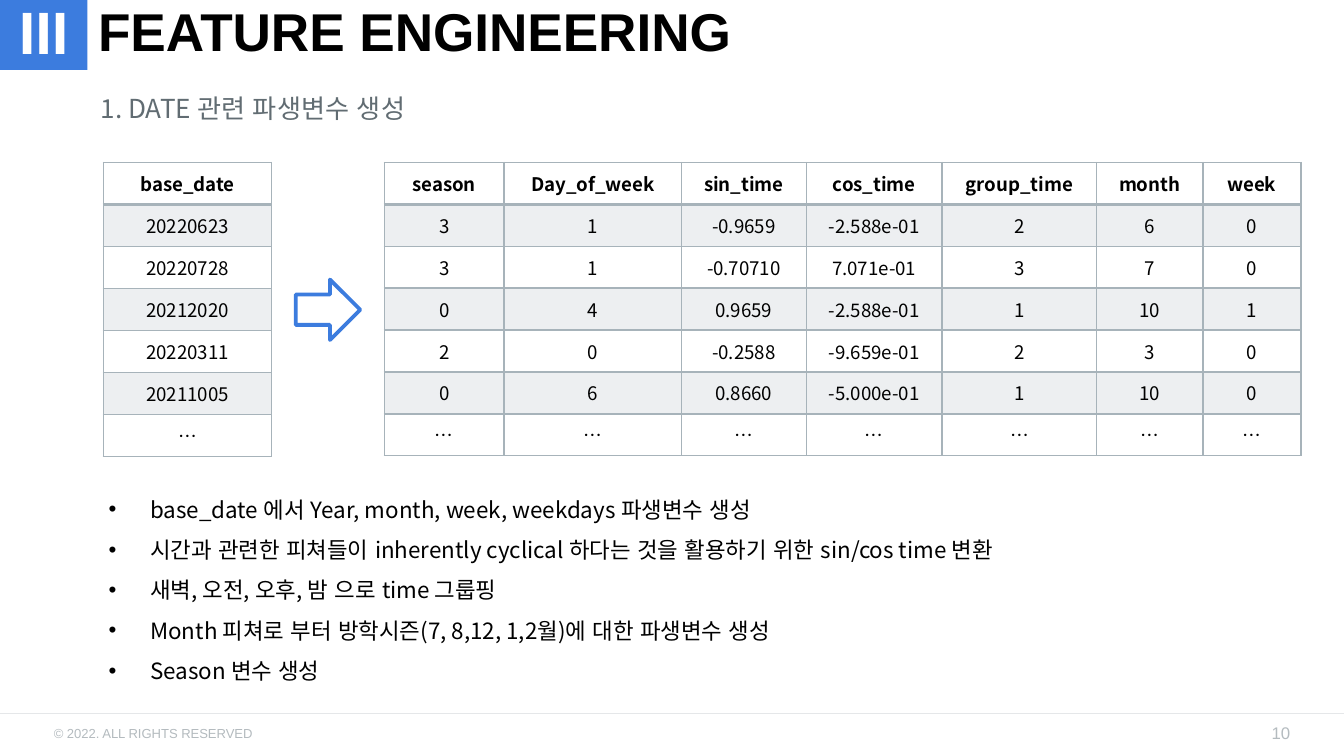
from lxml import etree
from pptx import Presentation
from pptx.dml.color import RGBColor
from pptx.enum import shapes, text
from pptx.oxml import parse_xml
from pptx.oxml.ns import nsdecls, qn
from pptx.util import Inches, Pt

BLACK = RGBColor(0x00, 0x00, 0x00)
WHITE = RGBColor(0xFF, 0xFF, 0xFF)
BLUE = RGBColor(0x3C, 0x7C, 0xDE)
SLATE = RGBColor(0x61, 0x6C, 0x72)
MUTED = RGBColor(0xB4, 0xBB, 0xBF)
RULE = RGBColor(0xE5, 0xE7, 0xE9)
GRID = RGBColor(0xA7, 0xB3, 0xBA)
KOREAN = "Noto Sans CJK KR"
CENTER = text.PP_ALIGN.CENTER


def add_run(p, words, size, color, font=KOREAN, bold=False):
    r = p.add_run()
    r.text = words
    r.font.size = Pt(size)
    r.font.bold = bold
    r.font.color.rgb = color
    r.font.name = font
    # Hangul spaces take the wider Arial advance
    ea = etree.SubElement(r._r.get_or_add_rPr(), qn("a:ea"))
    ea.set("typeface", "Arial")


def add_grid(left, top, height, widths, rows):
    """Add a table with a bold header, shaded odd rows and thin borders."""
    frame = s.shapes.add_table(len(rows), len(widths), Inches(left), Inches(top),
                               Inches(sum(widths)), Inches(height))
    table = frame.table
    table.horz_banding = False
    for column, width in zip(table.columns, widths):
        column.width = Inches(width)
    for i, values in enumerate(rows):
        table.rows[i].height = Inches(height / len(rows))
        for j, value in enumerate(values):
            cell = table.cell(i, j)
            cell.vertical_anchor = text.MSO_ANCHOR.MIDDLE
            p = cell.text_frame.paragraphs[0]
            p.alignment = CENTER
            add_run(p, value, 10, BLACK, bold=i == 0)
            tc_pr = cell._tc.get_or_add_tcPr()
            for side in ("L", "R", "T", "B"):
                heavy = i == 0 and side == "B"
                tc_pr.append(parse_xml(
                    f'<a:ln{side} {nsdecls("a")} w="{Pt(2 if heavy else 1)}"><a:solidFill>'
                    f'<a:srgbClr val="{GRID}"/></a:solidFill></a:ln{side}>'))
            if i % 2:
                cell.fill.solid()
                cell.fill.fore_color.rgb = GRID
                color = tc_pr.find(qn("a:solidFill")).find(qn("a:srgbClr"))
                etree.SubElement(color, qn("a:alpha")).set("val", "20000")
            else:
                cell.fill.background()


prs = Presentation()
prs.slide_width = Inches(10)
prs.slide_height = prs.slide_width * 9 // 16
s = prs.slides.add_slide(prs.slide_layouts[5])

# Footer rule
rule = s.shapes.add_connector(shapes.MSO_CONNECTOR.STRAIGHT, 0, Inches(5.31),
                              Inches(10), Inches(5.31))
rule.line.color.rgb = RULE
rule.line.width = Pt(0.75)
etree.SubElement(rule._element.spPr, qn("a:effectLst"))

# Title and section badge
title = s.shapes.title
title.left, title.top = Inches(0.65), Inches(0)
title.width, title.height = Inches(7.98), Inches(0.46)
badge = s.shapes.add_shape(shapes.MSO_SHAPE.RECTANGLE, 0, Inches(0),
                           Inches(0.65), Inches(0.52))
badge.shadow.inherit = False
badge.fill.solid()
badge.fill.fore_color.rgb = BLUE
badge.line.fill.background()
for sp, words, size, color, align, anchor in (
        (title, "FEATURE ENGINEERING", 28.5, BLACK, text.PP_ALIGN.LEFT, text.MSO_ANCHOR.TOP),
        (badge, "III", 32, WHITE, CENTER, text.MSO_ANCHOR.MIDDLE)):
    tf = sp.text_frame
    tf.auto_size = text.MSO_AUTO_SIZE.NONE
    tf.word_wrap = True
    tf.vertical_anchor = anchor
    tf.margin_left = tf.margin_right = Inches(0.08)
    tf.margin_top = tf.margin_bottom = Inches(0.04)
    p = tf.paragraphs[0]
    p.alignment = align
    p.line_spacing = 0.9
    add_run(p, words, size, color, "Arial", True)

# Footer
for box, words, size, align in (
        ((0.32, 5.36, 3.38, 0.2), "© 2022. ALL RIGHTS RESERVED", 7, text.PP_ALIGN.LEFT),
        ((7.43, 5.34, 2.25, 0.23), "10", 9, text.PP_ALIGN.RIGHT)):
    tf = s.shapes.add_textbox(*map(Inches, box)).text_frame
    tf.word_wrap = True
    tf.vertical_anchor = text.MSO_ANCHOR.MIDDLE
    tf.margin_left = tf.margin_right = Inches(0.08)
    tf.margin_top = tf.margin_bottom = Inches(0.04)
    p = tf.paragraphs[0]
    p.alignment = align
    add_run(p, words, size, MUTED, "Arial")

# Subtitle
tf = s.shapes.add_textbox(Inches(0.65), Inches(0.64), Inches(4.3), Inches(0.57)).text_frame
tf.word_wrap = True
add_run(tf.paragraphs[0], "1. DATE 관련 파생변수 생성", 14, SLATE)

# Source dates, arrow and derived variables
dates = ["base_date", "20220623", "20220728", "20212020", "20220311", "20211005", "…"]
add_grid(0.77, 1.21, 2.19, [1.25], [[date] for date in dates])

arrow = s.shapes.add_shape(shapes.MSO_SHAPE.RIGHT_ARROW, Inches(2.2), Inches(2.08),
                           Inches(0.48), Inches(0.45))
arrow.shadow.inherit = False
arrow.fill.solid()
arrow.fill.fore_color.rgb = WHITE
arrow.line.color.rgb = BLUE
arrow.line.width = Pt(2)

add_grid(2.86, 1.21, 2.18, [0.89, 1.32, 0.93, 1.01, 1.15, 0.79, 0.73], [
    ["season", "Day_of_week", "sin_time", "cos_time", "group_time", "month", "week"],
    ["3", "1", "-0.9659", "-2.588e-01", "2", "6", "0"],
    ["3", "1", "-0.70710", "7.071e-01", "3", "7", "0"],
    ["0", "4", "0.9659", "-2.588e-01", "1", "10", "1"],
    ["2", "0", "-0.2588", "-9.659e-01", "2", "3", "0"],
    ["0", "6", "0.8660", "-5.000e-01", "1", "10", "0"],
    ["…"] * 7,
])

# Notes on the derived variables
bullets = [
    "base_date 에서 Year, month, week, weekdays 파생변수 생성",
    "시간과 관련한 피쳐들이 inherently cyclical 하다는 것을 활용하기 위한 sin/cos time 변환",
    "새벽, 오전, 오후, 밤 으로 time 그룹핑",
    "Month 피쳐로 부터 방학시즌(7, 8,12, 1,2월)에 대한 파생변수 생성",
    "Season 변수 생성",
]
tf = s.shapes.add_textbox(Inches(0.71), Inches(3.54), Inches(8.49), Inches(1.59)).text_frame
tf.word_wrap = True
for i, words in enumerate(bullets):
    p = tf.paragraphs[0] if i == 0 else tf.add_paragraph()
    p.line_spacing = 1.5
    p_pr = p._p.get_or_add_pPr()
    p_pr.set("marL", str(Inches(0.31)))
    p_pr.set("indent", str(-Inches(0.31)))
    bullet_color = etree.SubElement(p_pr, qn("a:buClr"))
    etree.SubElement(bullet_color, qn("a:srgbClr")).set("val", str(BLACK))
    etree.SubElement(p_pr, qn("a:buFont")).set("typeface", "Arial")
    etree.SubElement(p_pr, qn("a:buChar")).set("char", "•")
    add_run(p, words, 12, BLACK)

prs.save("out.pptx")
